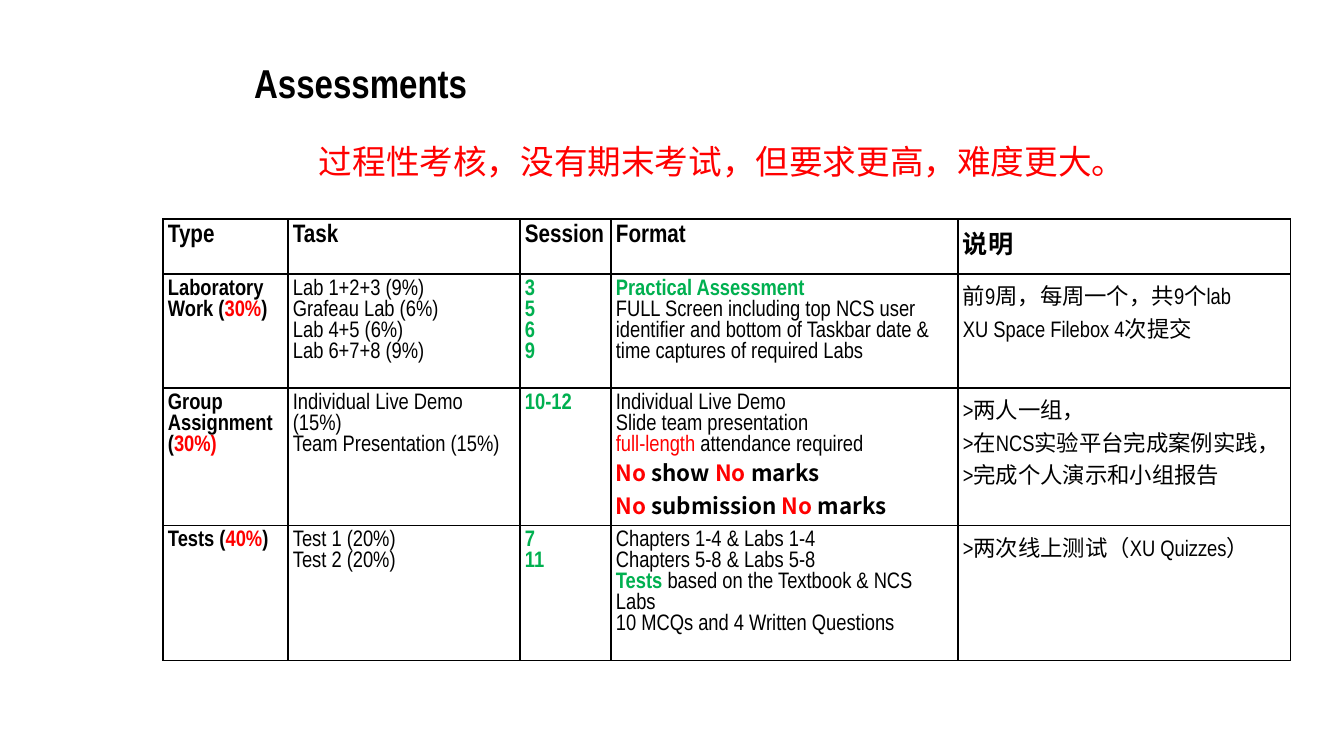
import lxml.etree
import pptx
import pptx.dml.color
import pptx.enum.text
import pptx.oxml.ns
import pptx.util

PX = 12192000 / 1344
COLORS = {"black": "000000", "red": "FF0000", "green": "00B050"}
NARROW, SANS = "Arial Narrow", "Noto Sans CJK SC"

# style: colour, bold, font
STYLES = {
    "plain": ("black", False, NARROW),
    "bold": ("black", True, NARROW),
    "red": ("red", False, NARROW),
    "red bold": ("red", True, NARROW),
    "green": ("green", True, NARROW),
    "rule": ("black", True, SANS),
    "red rule": ("red", True, SANS),
}


def write(text_frame, paragraphs, size):
    """Fill the frame; each paragraph is a list of (style, text) runs."""
    for index, runs in enumerate(paragraphs):
        paragraph = text_frame.paragraphs[0] if index == 0 else text_frame.add_paragraph()
        for style, text in runs:
            color, bold, font = STYLES[style]
            run = paragraph.add_run()
            run.text = text
            run.font.size = pptx.util.Pt(size)
            run.font.name = font
            run.font.bold = bold
            run.font.color.rgb = pptx.dml.color.RGBColor.from_string(COLORS[color])


def lines(style, *texts):
    return [[(style, text)] for text in texts]


presentation = pptx.Presentation()
presentation.slide_width, presentation.slide_height = round(1344 * PX), round(756 * PX)
slide = presentation.slides.add_slide(presentation.slide_layouts[5])

title = slide.shapes.title
title.left, title.top, title.width, title.height = [round(v * PX) for v in (244, 58, 858, 54)]
title.text_frame.vertical_anchor = pptx.enum.text.MSO_ANCHOR.MIDDLE
title.text_frame.auto_size = pptx.enum.text.MSO_AUTO_SIZE.NONE
write(title.text_frame, lines("bold", "Assessments"), 28.8)
title.text_frame.paragraphs[0].alignment = pptx.enum.text.PP_ALIGN.LEFT
title.text_frame.paragraphs[0].line_spacing = 0.9

# Assessment table
HEADER = [lines("bold", name) for name in ("Type", "Task", "Session", "Format", "说明")]
LABS = [
    [[("bold", "Laboratory Work ("), ("red bold", "30%"), ("bold", ")")]],
    lines("plain", "Lab 1+2+3 (9%)", "Grafeau Lab (6%)", "Lab 4+5 (6%)", "Lab 6+7+8 (9%)"),
    lines("green", "3", "5", "6", "9"),
    lines("green", "Practical Assessment")
    + lines("plain", "FULL Screen including top NCS user identifier and bottom of "
                     "Taskbar date & time captures of required Labs"),
    lines("plain", "前9周，每周一个，共9个lab", "XU Space Filebox 4次提交"),
]
GROUP = [
    [[("bold", "Group Assignment ("), ("red bold", "30%)")]],
    lines("plain", "Individual Live Demo (15%)", "Team Presentation (15%)"),
    lines("green", "10-12"),
    lines("plain", "Individual Live Demo", "Slide team presentation")
    + [[("red", "full-length"), ("plain", " attendance required")]]
    + [[("red rule", "No"), ("rule", f" {missing} "), ("red rule", "No "), ("rule", "marks")]
       for missing in ("show", "submission")],
    lines("plain", ">两人一组，", ">在NCS实验平台完成案例实践，", ">完成个人演示和小组报告"),
]
TESTS = [
    [[("bold", "Tests ("), ("red bold", "40%"), ("bold", ")")]],
    lines("plain", "Test 1 (20%)", "Test 2 (20%)"),
    lines("green", "7", "11"),
    lines("plain", "Chapters 1-4 & Labs 1-4", "Chapters 5-8 & Labs 5-8")
    + [[("green", "Tests "), ("plain", "based on the Textbook & NCS Labs")]]
    + lines("plain", "10 MCQs and 4 Written Questions"),
    lines("plain", ">两次线上测试（XU Quizzes）"),
]
ROWS = [HEADER, LABS, GROUP, TESTS]
COLUMN_WIDTHS = [125, 232, 91, 347, 333]
ROW_HEIGHTS = [55, 114, 135, 135]

assessments = slide.shapes.add_table(
    len(ROWS), len(COLUMN_WIDTHS), round(163 * PX), round(219 * PX),
    round(sum(COLUMN_WIDTHS) * PX), round(sum(ROW_HEIGHTS) * PX)).table
assessments.first_row = assessments.horz_banding = False
for column, width in zip(assessments.columns, COLUMN_WIDTHS):
    column.width = round(width * PX)

for row, height, contents in zip(assessments.rows, ROW_HEIGHTS, ROWS):
    row.height = round(height * PX)
    for cell, paragraphs in zip(row.cells, contents):
        cell.margin_left = cell.margin_right = round(5 * PX)
        cell.margin_top = cell.margin_bottom = round(5 * PX)
        write(cell.text_frame, paragraphs, 18 if contents is HEADER else 16)
        properties = cell._tc.get_or_add_tcPr()
        for side in ("a:lnL", "a:lnR", "a:lnT", "a:lnB"):
            border = lxml.etree.SubElement(properties, pptx.oxml.ns.qn(side), w="12700")
            fill = lxml.etree.SubElement(border, pptx.oxml.ns.qn("a:solidFill"))
            lxml.etree.SubElement(fill, pptx.oxml.ns.qn("a:srgbClr"), val=COLORS["black"])
        cell.fill.background()

# Remark under the title
remark = slide.shapes.add_textbox(*[round(v * PX) for v in (309, 140, 836, 54)]).text_frame
remark.word_wrap = True
write(remark, lines("red", "过程性考核，没有期末考试，但要求更高，难度更大。"), 24)
remark.paragraphs[0].line_spacing = 0.9
remark.paragraphs[0].space_before = pptx.util.Pt(10)

presentation.save("out.pptx")
